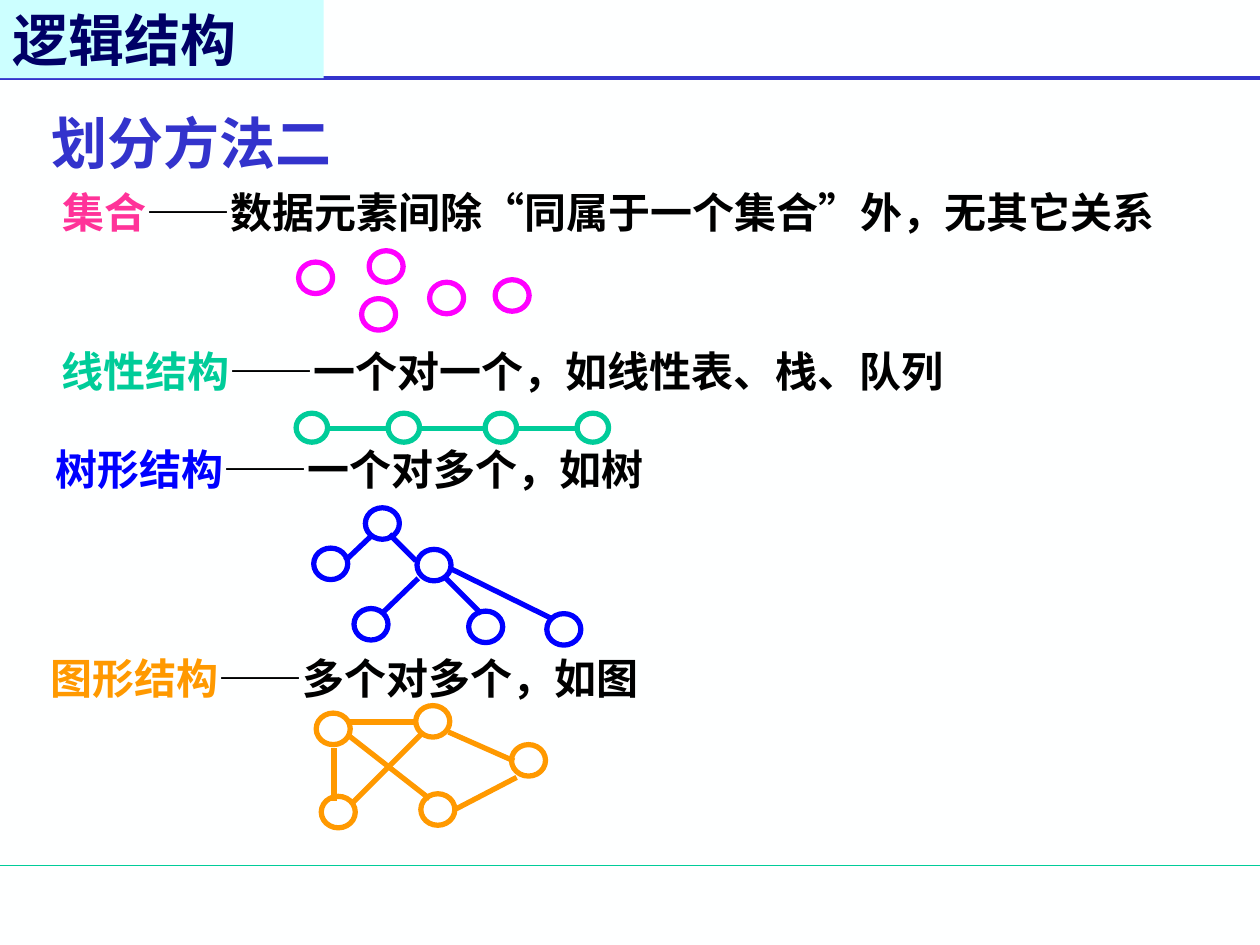
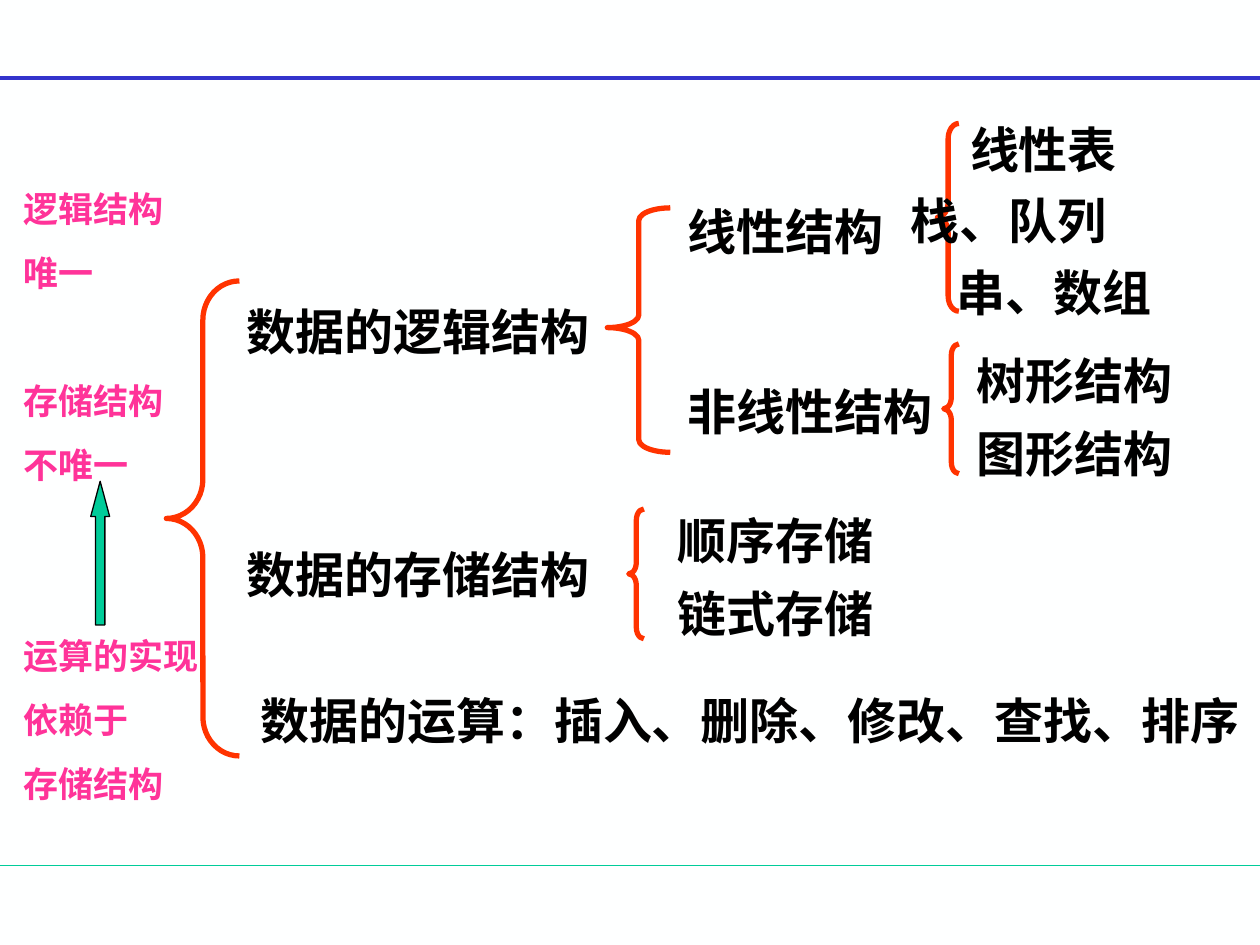
from dataclasses import dataclass

from lxml.etree import SubElement
from pptx import Presentation
from pptx.dml.color import RGBColor
from pptx.enum.shapes import MSO_CONNECTOR, MSO_SHAPE
from pptx.enum.text import MSO_ANCHOR
from pptx.oxml.ns import qn
from pptx.util import Inches, Pt


@dataclass(frozen=True)
class Theme:
    # Colours
    paper: str = "FEFFFF"
    ink: str = "000000"
    navy: str = "000066"
    indigo: str = "3333CC"
    green: str = "00CC99"
    blue: str = "0000FF"
    orange: str = "FF9900"
    magenta: str = "FF00FF"
    pink: str = "FF3399"
    brace: str = "FF3300"
    band: str = "CCFFFF"
    # Type sizes, in points
    heading: int = 32
    topic: int = 28
    body: int = 24
    note: int = 20
    # Fonts
    chinese: str = "Noto Sans CJK SC"
    latin: str = "Times New Roman"
    # Line widths, in points
    thin: float = 0.75
    rule: float = 2.25
    thick: float = 3


class Sketch:
    """Draws on a grid of 100 columns by 75 rows."""

    COLUMNS = 100
    MARGIN = 1  # side inset of a text box, in columns

    def __init__(self, theme):
        self.theme = theme
        self.deck = Presentation()
        self.deck.slide_width, self.deck.slide_height = Inches(10), Inches(7.5)
        self.cell = self.deck.slide_width / self.COLUMNS
        self.page = None

    def grid(self, *lengths):
        return [round(length * self.cell) for length in lengths]

    def new_page(self):
        self.page = self.deck.slides.add_slide(self.deck.slide_layouts[6])
        fill = self.page.background.fill
        fill.solid()
        fill.fore_color.rgb = RGBColor.from_string(self.theme.paper)
        self.line(0, 68.7, self.COLUMNS, 68.7, self.theme.green, self.theme.thin)
        self.line(0, 6.2, self.COLUMNS, 6.2, self.theme.indigo, self.theme.rule)

    def line(self, x1, y1, x2, y2, color, width):
        connector = self.page.shapes.add_connector(
            MSO_CONNECTOR.STRAIGHT, *self.grid(x1, y1, x2, y2))
        connector.line.color.rgb = RGBColor.from_string(color)
        connector.line.width = Pt(width)
        SubElement(connector._element.spPr, qn("a:effectLst"))

    def shape(self, kind, place, fill=None, outline=None, width=None, adjust=()):
        shape = self.page.shapes.add_shape(kind, *self.grid(*place))
        shape.shadow.inherit = False
        for index, value in enumerate(adjust):
            shape.adjustments[index] = value
        if fill:
            shape.fill.solid()
            shape.fill.fore_color.rgb = RGBColor.from_string(fill)
        else:
            shape.fill.background()
        if outline:
            shape.line.color.rgb = RGBColor.from_string(outline)
            shape.line.width = Pt(width)
        else:
            shape.line.fill.background()
        return shape

    def brace(self, left, top, width, height, curve, tip=0.5):
        self.shape(MSO_SHAPE.LEFT_BRACE, (left, top, width, height),
                   outline=self.theme.brace, width=self.theme.thick,
                   adjust=(curve / min(width, height), tip))

    def diagram(self, color, nodes, size, edges=()):
        for left, top in nodes:
            self.shape(MSO_SHAPE.OVAL, (left, top, *size),
                       outline=color, width=self.theme.thick)
        for edge in edges:
            self.line(*edge, color, self.theme.thick)

    def style(self, para, size, color, latin):
        font = para.font
        font.size, font.bold = Pt(size), True
        font.color.rgb = RGBColor.from_string(color)
        font.name = latin
        SubElement(font._element, qn("a:ea"), typeface=self.theme.chinese)

    def text(self, left, top, spans, size, latin):
        """One line of (words, colour) spans whose first letter starts at left."""
        em = size / 7.2
        letters = sum(len(words) for words, _ in spans)
        box = self.page.shapes.add_textbox(*self.grid(
            left - self.MARGIN, top, letters * em + 2 * self.MARGIN, 1.2 * em + 1))
        frame = box.text_frame
        frame.word_wrap = False
        frame.vertical_anchor = MSO_ANCHOR.MIDDLE
        para = frame.paragraphs[0]
        self.style(para, size, spans[0][1], latin)
        for words, color in spans:
            span = para.add_run()
            span.text = words
            if color != spans[0][1]:
                span.font.color.rgb = RGBColor.from_string(color)

    def notes(self, place, lines):
        """A column of (words, space before in points) paragraphs."""
        frame = self.page.shapes.add_textbox(*self.grid(*place)).text_frame
        frame.word_wrap = True
        for index, (words, gap) in enumerate(lines):
            para = frame.add_paragraph() if index else frame.paragraphs[0]
            para.text = words
            para.space_before = Pt(gap)
            self.style(para, self.theme.note, self.theme.pink, self.theme.latin)


def structures_page(sketch):
    theme = sketch.theme
    sketch.new_page()

    # Title band and heading
    sketch.shape(MSO_SHAPE.RECTANGLE, (0, 0, 25.7, 6.2), fill=theme.band)
    for left, top, words, color in ((1, -0.1, "逻辑结构", theme.navy),
                                    (4.1, 8.1, "划分方法二", theme.indigo)):
        sketch.text(left, top, [(words, color)], theme.heading, theme.chinese)

    # Kinds of structure
    for left, top, kind, color, meaning in (
            (5, 14.3, "集合", theme.pink, "数据元素间除“同属于一个集合”外，无其它关系"),
            (4.9, 26.9, "线性结构", theme.green, "一个对一个，如线性表、栈、队列"),
            (4.4, 34.7, "树形结构", theme.blue, "一个对多个，如树"),
            (4, 51.3, "图形结构", theme.orange, "多个对多个，如图")):
        sketch.text(left, top, [(kind, color), ("——" + meaning, theme.ink)],
                    theme.body, theme.chinese)

    # Set, chain, tree and graph
    node = (2.7, 2.5)
    sketch.diagram(theme.magenta, [
        (23.7, 20.8), (29.3, 19.9), (28.7, 23.7), (34.1, 22.4), (39.3, 22.2)], node)
    sketch.diagram(
        theme.green, [(left, 32.8) for left in (23.5, 30.8, 38.5, 45.8)], (2.5, 2.3),
        [(start, 34, end, 34) for start, end in ((26, 30.6), (33.2, 38.6), (41.2, 45.7))])
    sketch.diagram(
        theme.blue,
        [(29, 40.3), (24.9, 43.5), (33.1, 43.6), (28.1, 48.3), (37.2, 48.5), (43.4, 48.7)],
        node,
        [(29.4, 42.6, 27.4, 44.5), (33.2, 45.9, 30.3, 48.7), (30.9, 42.4, 33, 44.5),
         (35.2, 45.7, 38.2, 48.7), (35.7, 45.1, 43.8, 49.1)])
    sketch.diagram(
        theme.orange, [(33, 56), (25.5, 63.2), (33.4, 63), (40.6, 59.1), (25.1, 56.6)],
        node,
        [(26.5, 59.4, 26.5, 63.6), (27.7, 58.4, 34.1, 63.4), (35.6, 58.1, 40.8, 60.4),
         (33.5, 58.2, 27.9, 63.8), (41, 61.7, 36.2, 64.2), (27.7, 57.3, 33.1, 57.3)])


def summary_page(sketch):
    theme = sketch.theme
    sketch.new_page()

    # Braces, from the whole to its parts
    sketch.brace(13.2, 22.3, 5.8, 37.7, curve=3.1)
    sketch.brace(49.9, 40.4, 1.2, 10.3, curve=0.9)
    sketch.brace(48.2, 16.5, 5, 19.4, curve=1, tip=0.49)
    sketch.brace(74.4, 9.8, 1.7, 14.9, curve=1.2)
    sketch.brace(74.9, 27.3, 1.2, 10.3, curve=0.9)

    # Topics
    for left, top, words in (
            (19.6, 23.4, "数据的逻辑结构"), (19.6, 42.7, "数据的存储结构"),
            (20.7, 54.3, "数据的运算：插入、删除、修改、查找、排序"),
            (54.6, 15.5, "线性结构"), (54.6, 29.8, "非线性结构"),
            (53.8, 40, "顺序存储"), (53.8, 45.8, "链式存储"),
            (77, 9, "线性表"), (72.3, 14.6, "栈、队列"), (75.9, 20.3, "串、数组"),
            (77.5, 27.3, "树形结构"), (77.5, 33.1, "图形结构")):
        sketch.text(left, top, [(words, theme.ink)], theme.topic, theme.latin)

    # Side notes and the arrow between them
    gap, skipped = 12.5, 36.5
    sketch.notes((0.9, 14.4, 16.4, 50), [
        ("逻辑结构", 0), ("唯一", gap),
        ("存储结构", gap + skipped), ("不唯一", gap),
        ("运算的实现", gap + 2 * skipped), ("依赖于", gap), ("存储结构", gap)])
    sketch.shape(MSO_SHAPE.UP_ARROW, (7.2, 38.2, 1.5, 11.4), fill=theme.green,
                 outline=theme.ink, width=theme.thin, adjust=(0.5, 1.86))


def main():
    sketch = Sketch(Theme())
    structures_page(sketch)
    summary_page(sketch)
    sketch.deck.save("out.pptx")


if __name__ == "__main__":
    main()
